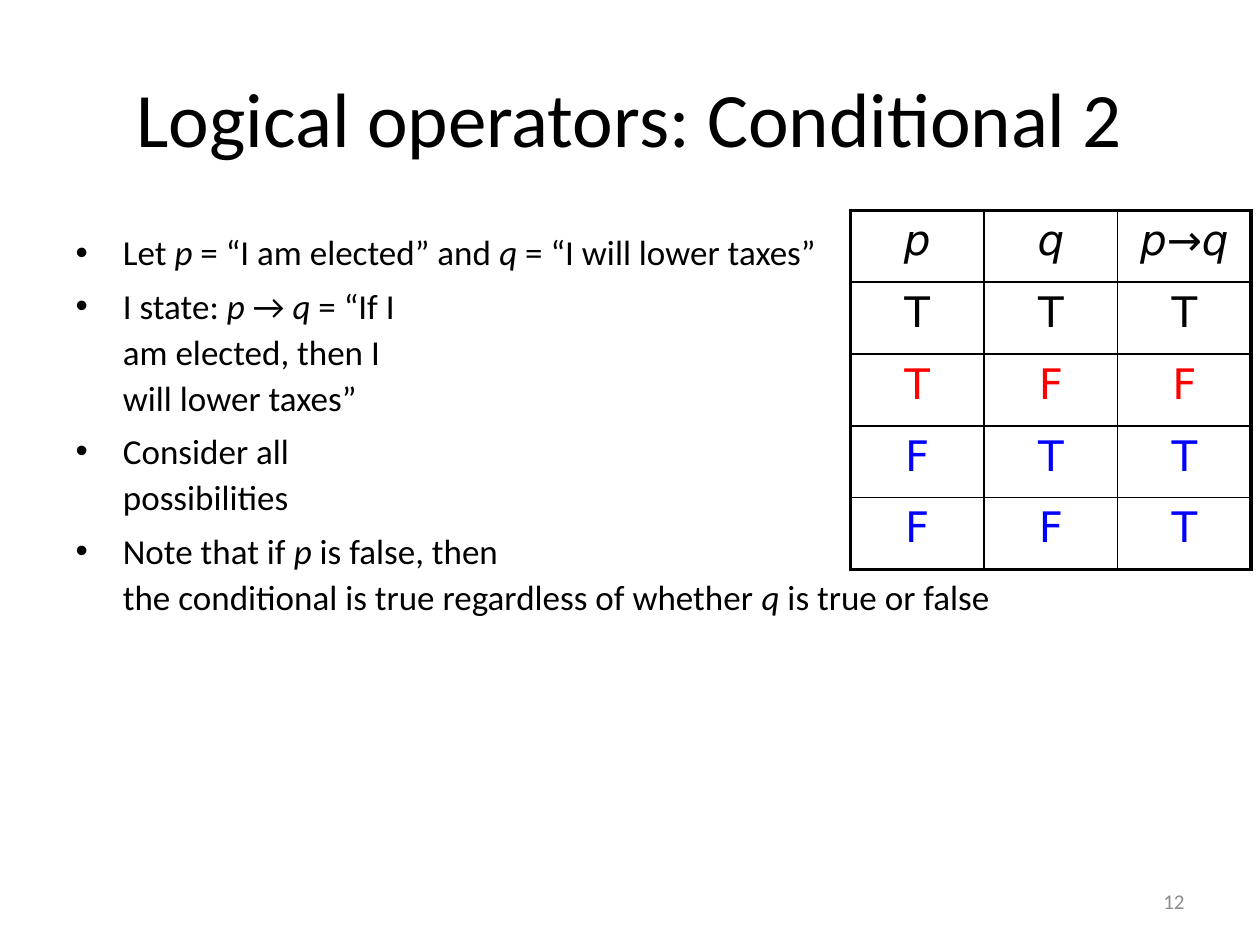
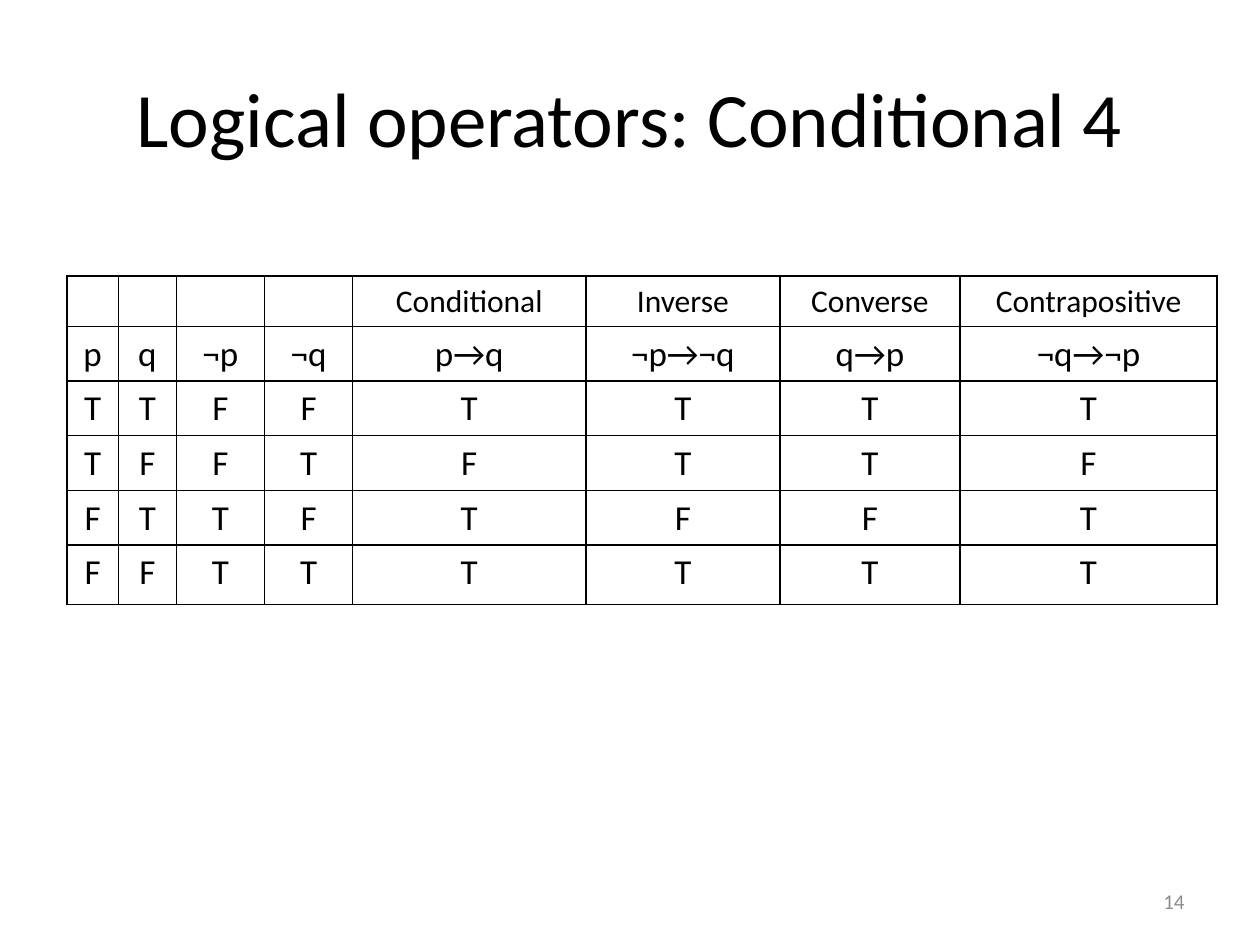
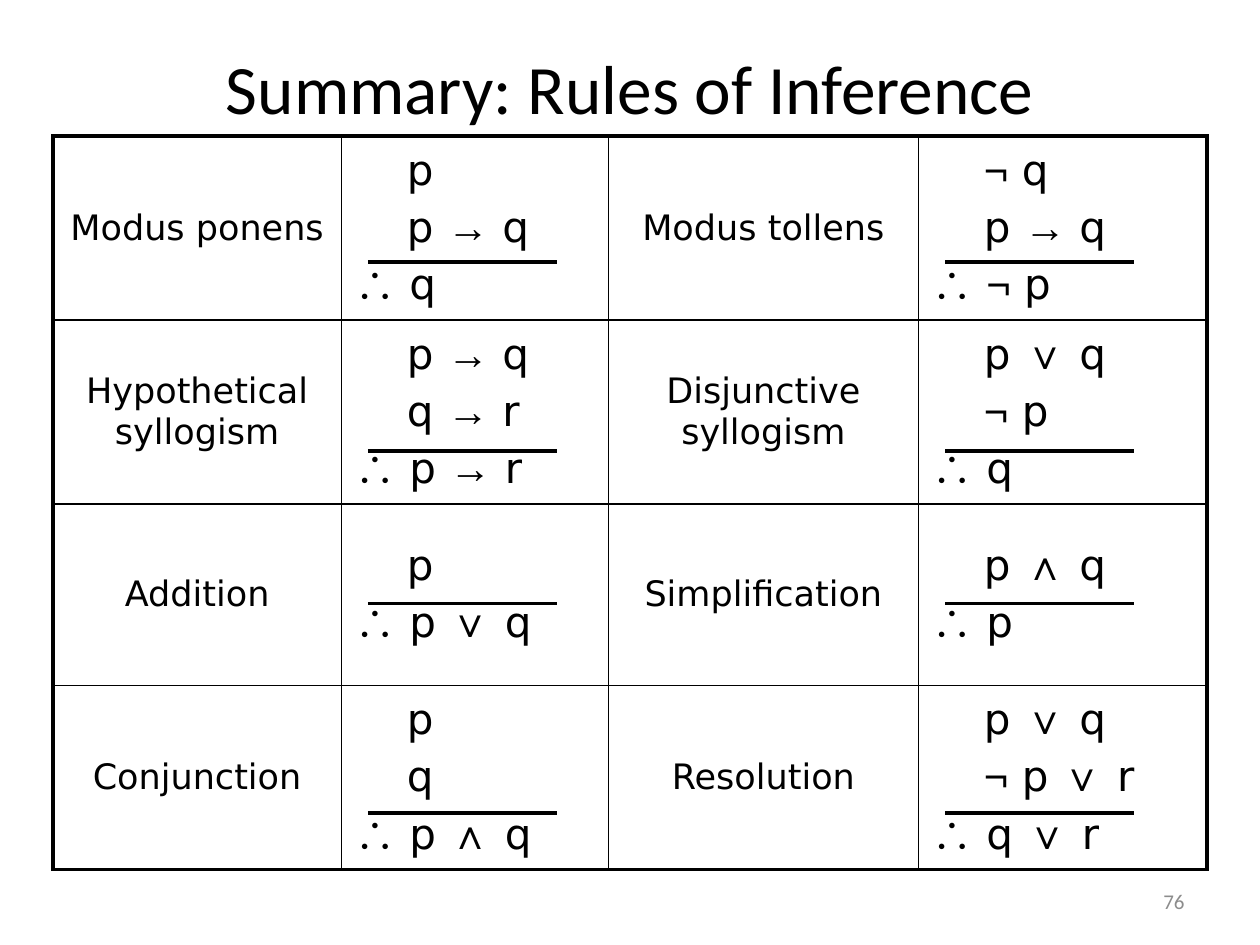
"""Build three slides on conditionals and rules of inference."""
import copy
import dataclasses
import itertools
import typing

import pptx
import pptx.dml.color
import pptx.enum.shapes
import pptx.enum.text
import pptx.oxml.ns
import pptx.util
from lxml import etree

Inches = pptx.util.Inches
Pt = pptx.util.Pt
Align = pptx.enum.text.PP_ALIGN
Anchor = pptx.enum.text.MSO_ANCHOR
qn = pptx.oxml.ns.qn


@dataclasses.dataclass(frozen=True)
class Theme:
    """Hold colours, fonts, type sizes and line widths."""
    ink: str = "000000"
    red: str = "FF0000"
    blue: str = "0000FF"
    gray: str = "8C8C8C"
    sans: str = "Calibri"
    wide: str = "DejaVu Sans"
    sign: str = "Arial"
    head: float = 44
    tight: float = 39.6
    logic: float = 24
    text: float = 20
    label: float = 18
    foot: float = 12
    thin: float = 1
    thick: float = 2.25


THEME = Theme()
SIGNS = "→∴∨∧¬"


class Look(typing.NamedTuple):
    """Describe how a piece of text is set."""
    size: float
    font: str = THEME.sans
    color: str = THEME.ink
    align: typing.Optional[Align] = Align.CENTER
    sign: str = ""
    indent: float = 0


class Cell(typing.NamedTuple):
    """Pair the lines of a table cell with their look."""
    text: str
    look: Look


class Grid(typing.NamedTuple):
    """Describe a table by place, sizes, outer line and cells."""
    left: float
    top: float
    cols: list[float]
    rows: list[float]
    height: float
    edge: float
    anchor: Anchor
    cells: list[list[Cell]]


def put(item: typing.Any, values: dict[str, typing.Any]) -> None:
    """Set attributes from a dict of format values."""
    for name, value in values.items():
        setattr(item, name, value)


def rgb(code: str) -> pptx.dml.color.RGBColor:
    """Turn a hex code into a colour."""
    return pptx.dml.color.RGBColor.from_string(code)


def add_run(par: typing.Any, text: str, look: Look, font: str, slant: bool) -> None:
    """Add one formatted run."""
    run = par.add_run()
    run.text = text
    put(run.font, {"size": Pt(look.size), "name": font, "italic": slant})
    run.font.color.rgb = rgb(look.color)


def write(par: typing.Any, text: str, look: Look) -> None:
    """Write text in which asterisks enclose italics and newlines break lines."""
    if look.align is not None:
        par.alignment = look.align
    for spot, part in enumerate(text.split("*")):
        for row, line in enumerate(part.split("\n")):
            if row:
                par.add_line_break()
            for is_sign, group in itertools.groupby(line, lambda mark: mark in SIGNS):
                font = look.sign if is_sign and look.sign else look.font
                add_run(par, "".join(group), look, font, spot % 2 == 1)
    for gap in par._p.findall(qn("a:br")):
        gap.append(copy.deepcopy(par.runs[0]._r.rPr))


def space(par: typing.Any, indent: float) -> None:
    """Put a fifth of a line before a paragraph and indent it."""
    props = par._p.get_or_add_pPr()
    if indent:
        props.set("marL", str(Inches(indent)))
    before = etree.SubElement(props, qn("a:spcBef"))
    etree.SubElement(before, qn("a:spcPct"), val="20000")


def border(cell: typing.Any, widths: dict[str, float]) -> None:
    """Draw the four sides of a table cell."""
    props = cell._tc.get_or_add_tcPr()
    for spot, (side, width) in enumerate(widths.items()):
        line = etree.Element(qn(f"a:ln{side}"), w=str(Pt(width)))
        fill = etree.SubElement(line, qn("a:solidFill"))
        etree.SubElement(fill, qn("a:srgbClr"), val=THEME.ink)
        props.insert(spot, line)


def add_grid(slide: typing.Any, grid: Grid) -> None:
    """Draw a table with its borders and text."""
    frame = slide.shapes.add_table(
        len(grid.rows), len(grid.cols), Inches(grid.left), Inches(grid.top),
        Inches(sum(grid.cols)), Inches(grid.height))
    table = frame.table
    put(table, {"first_row": False, "horz_banding": False})
    for col, width in zip(table.columns, grid.cols):
        col.width = Inches(width)
    for row, height in zip(table.rows, grid.rows):
        row.height = Inches(height)
    frame.height = Inches(grid.height)
    for y, row in enumerate(grid.cells):
        for x, (text, look) in enumerate(row):
            cell = table.cell(y, x)
            cell.fill.background()
            cell.vertical_anchor = grid.anchor
            outer = {"L": x == 0, "R": x == len(row) - 1,
                     "T": y == 0, "B": y == len(grid.rows) - 1}
            border(cell, {side: grid.edge if end else THEME.thin
                          for side, end in outer.items()})
            if not text:
                continue
            for spot, line in enumerate(text.split("\n")):
                body = cell.text_frame
                par = body.add_paragraph() if spot else body.paragraphs[0]
                write(par, line, look)
                space(par, 0 if line.startswith("∴") else look.indent)


def add_rule(slide: typing.Any, left: float, top: float, width: float) -> None:
    """Draw the bar above a conclusion."""
    line = slide.shapes.add_connector(
        pptx.enum.shapes.MSO_CONNECTOR.STRAIGHT,
        Inches(left), Inches(top), Inches(left + width), Inches(top))
    line.line.width = Pt(THEME.thick)
    line.line.color.rgb = rgb(THEME.ink)
    etree.SubElement(line._element.spPr, qn("a:effectLst"))


def place(shape: typing.Any, left: float, top: float, width: float, height: float) -> None:
    """Move and size a shape."""
    put(shape, {"left": Inches(left), "top": Inches(top),
                "width": Inches(width), "height": Inches(height)})


def start(deck: typing.Any, layout: int, title: str, number: int,
          size: float = THEME.head, height: float = 1.25) -> typing.Any:
    """Add a slide with its title and number."""
    slide = deck.slides.add_slide(deck.slide_layouts[layout])
    head = slide.shapes.title
    place(head, 0.5, 0.3, 9, height)
    head.text_frame.vertical_anchor = Anchor.MIDDLE
    write(head.text_frame.paragraphs[0], title, Look(size))
    foot = slide.shapes.add_textbox(Inches(7.17), Inches(6.95), Inches(2.33), Inches(0.4))
    put(foot.text_frame, {"word_wrap": True, "vertical_anchor": Anchor.MIDDLE})
    write(foot.text_frame.paragraphs[0], str(number),
          Look(THEME.foot, color=THEME.gray, align=Align.RIGHT))
    return slide


def elect(deck: typing.Any) -> None:
    """Build the slide on the election promise."""
    slide = start(deck, 1, "Logical operators: Conditional 2", 12)
    body = slide.placeholders[1]
    place(body, 0.5, 1.75, 9, 4.95)
    points = [
        "Let *p* = “I am elected” and *q* = “I will lower taxes”",
        "I state: *p *→ *q* = “If I \nam elected, then I \nwill lower taxes”",
        "Consider all \npossibilities",
        "Note that if *p* is false, then \nthe conditional is true "
        "regardless of whether *q* is true or false",
    ]
    for spot, point in enumerate(points):
        frame = body.text_frame
        par = frame.add_paragraph() if spot else frame.paragraphs[0]
        par.line_spacing = 1.1
        write(par, point, Look(THEME.text, align=None))
    rows = [
        (["*p*", "*q*", "*p*→*q*"], THEME.ink),
        ("TTT", THEME.ink),
        ("TFF", THEME.red),
        ("FTT", THEME.blue),
        ("FFT", THEME.blue),
    ]
    cells = [[Cell(text, Look(THEME.logic, THEME.wide, color)) for text in row]
             for row, color in rows]
    add_grid(slide, Grid(6.75, 1.67, [1.06] * 3, [0.57] * 5, 2.83,
                         THEME.thick, Anchor.TOP, cells))


def compare(deck: typing.Any) -> None:
    """Build the slide on the four related conditionals."""
    slide = start(deck, 5, "Logical operators: Conditional 4", 14)
    names = [""] * 4 + ["Conditional", "Inverse", "Converse", "Contrapositive"]
    forms = ["p", "q", "¬p", "¬q", "p→q", "¬p→¬q", "q→p", "¬q→¬p"]
    truth = ["TTFFTTTT", "TFFTFTTF", "FTTFTFFT", "FFTTTTTT"]
    cells = [[Cell(text, Look(THEME.label)) for text in names]]
    cells += [[Cell(text, Look(THEME.text)) for text in row] for row in [forms, *truth]]
    add_grid(slide, Grid(0.53, 2.19, [0.41, 0.46, 0.7, 0.7, 1.85, 1.54, 1.43, 2.04],
                         [0.37] + [0.31] * 4 + [0.47], 2.63,
                         THEME.thin, Anchor.TOP, cells))


def infer(deck: typing.Any) -> None:
    """Build the summary of inference rules."""
    slide = start(deck, 5, "Summary: Rules of Inference", 76, THEME.tight, 0.78)
    rules = [
        ["Modus ponens", "p\np → q\n∴ q", "Modus tollens", "¬ q\np → q\n∴ ¬ p"],
        ["Hypothetical syllogism", "p → q\nq → r\n∴ p → r",
         "Disjunctive syllogism", "p ∨ q\n¬ p\n∴ q"],
        ["Addition", "p\n∴ p ∨ q", "Simplification", "p ∧ q\n∴ p"],
        ["Conjunction", "p\nq\n∴ p ∧ q", "Resolution", "p ∨ q\n¬ p ∨ r\n∴ q ∨ r"],
    ]
    name = Look(THEME.text, THEME.wide)
    proof = Look(THEME.logic, THEME.wide, align=Align.LEFT, sign=THEME.sign, indent=0.42)
    cells = [[Cell(text, look) for text, look in zip(row, [name, proof] * 2)]
             for row in rules]
    add_grid(slide, Grid(0.42, 1.08, [2.29, 2.12, 2.46, 2.29], [1.46, 1.46, 1.44, 1.46],
                         5.82, THEME.thick, Anchor.MIDDLE, cells))
    for left, top in itertools.product([2.92, 7.5], [2.08, 3.58, 4.79, 6.45]):
        add_rule(slide, left, top, 1.5)


def main() -> None:
    """Build and save the deck."""
    deck = pptx.Presentation()
    put(deck, {"slide_width": Inches(10), "slide_height": Inches(7.5)})
    for build in (elect, compare, infer):
        build(deck)
    deck.save("out.pptx")


if __name__ == "__main__":
    main()
